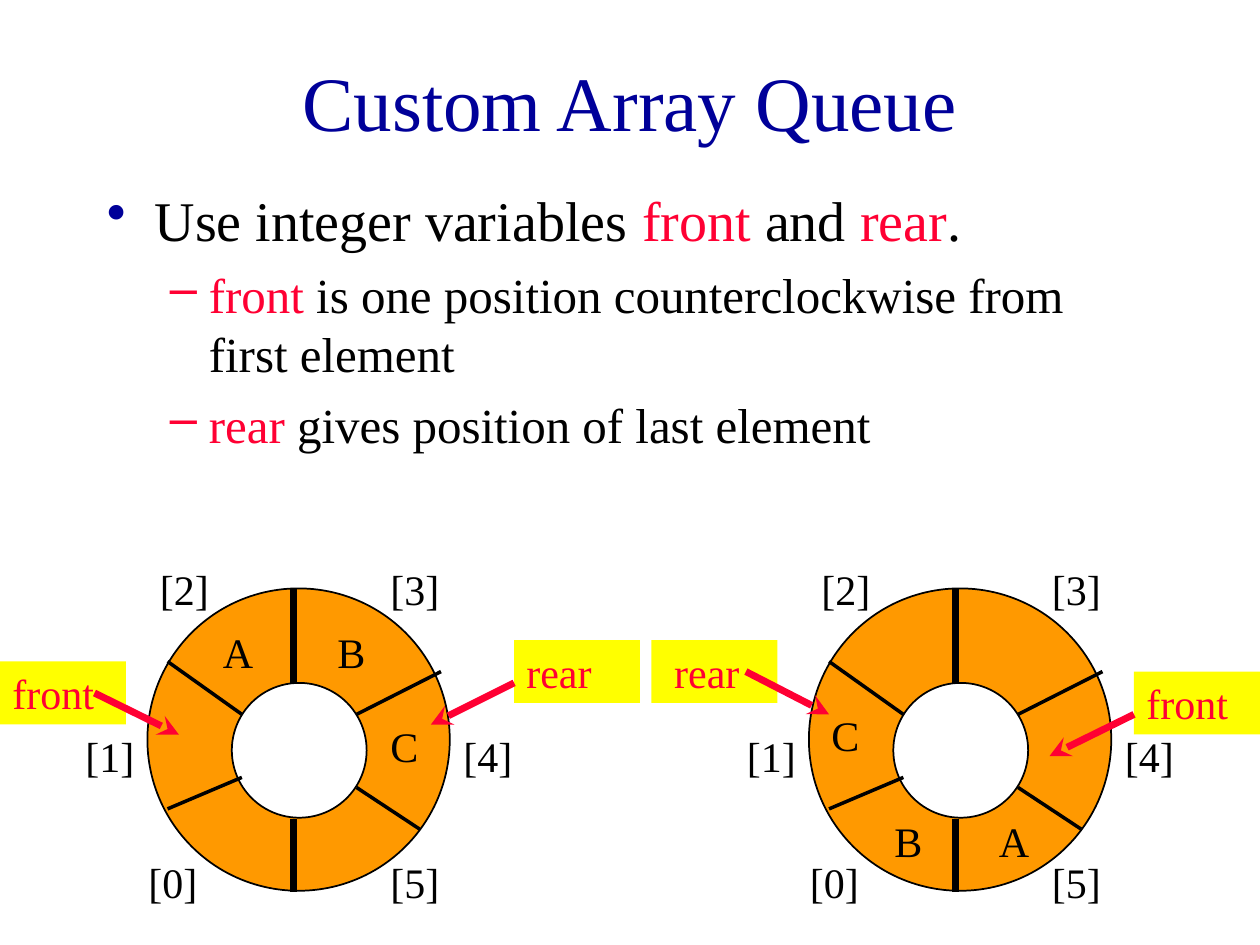
"""Build the Custom Array Queue slide with two ring diagrams."""
from lxml.etree import SubElement
from pptx import Presentation
from pptx.dml.color import RGBColor
from pptx.enum.shapes import MSO_CONNECTOR as CONNECTOR, MSO_SHAPE as SHAPE
from pptx.enum.text import MSO_ANCHOR as ANCHOR, PP_ALIGN as ALIGN
from pptx.oxml.ns import qn
from pptx.util import Inches, Pt

FONT = "Times New Roman"
BLACK, RED, NAVY = "000000", "FF0033", "000099"
ORANGE, YELLOW, WHITE = "FF9900", "FFFF00", "FFFFFF"
color = RGBColor.from_string


def add_label(shapes, text, left, top, width, ink=BLACK):
    box = shapes.add_textbox(Inches(left), Inches(top), Inches(width), Inches(0.5))
    box.text_frame.word_wrap = True
    paragraph = box.text_frame.paragraphs[0]
    paragraph.text = text
    paragraph.font.name = FONT
    paragraph.font.size = Pt(24)
    paragraph.font.color.rgb = color(ink)
    return box


def add_line(shapes, x1, y1, x2, y2, weight, ink=BLACK):
    line = shapes.add_connector(
        CONNECTOR.STRAIGHT, Inches(x1), Inches(y1), Inches(x2), Inches(y2))
    line.line.width = Pt(weight)
    line.line.color.rgb = color(ink)
    SubElement(line._element.spPr, qn("a:effectLst"))
    return line


presentation = Presentation()
presentation.slide_width = Inches(10)
presentation.slide_height = Inches(7.5)
slide = presentation.slides.add_slide(presentation.slide_layouts[6])

title = slide.shapes.add_textbox(Inches(0.75), Inches(0.17), Inches(8.5), Inches(1.25))
title.text_frame.word_wrap = True
title.text_frame.vertical_anchor = ANCHOR.MIDDLE
paragraph = title.text_frame.paragraphs[0]
paragraph.text = "Custom Array Queue"
paragraph.alignment = ALIGN.CENTER
paragraph.font.name = FONT
paragraph.font.size = Pt(44)
paragraph.font.color.rgb = color(NAVY)

bullets = [
    (0, 32, 0, 0.38, -0.38, "•", NAVY,
     [("Use integer variables ", BLACK), ("front ", RED), ("and ", BLACK),
      ("rear", RED), (".", BLACK)]),
    (1, 28, 7, 0.81, -0.31, "–", RED,
     [("front ", RED), ("is one position counterclockwise from first element", BLACK)]),
    (1, 28, 7, 0.81, -0.31, "–", RED,
     [("rear ", RED), ("gives position of last element", BLACK)]),
]
body = slide.shapes.add_textbox(Inches(0.75), Inches(1.42), Inches(8.5), Inches(2.92))
body.text_frame.word_wrap = True
for index, (level, size, space, margin, indent, mark, mark_color, runs) in enumerate(bullets):
    paragraph = body.text_frame.add_paragraph() if index else body.text_frame.paragraphs[0]
    paragraph.level = level
    properties = paragraph._p.get_or_add_pPr()
    properties.set("marL", str(Inches(margin)))
    properties.set("indent", str(Inches(indent)))
    bullet_color = SubElement(properties, qn("a:buClr"))
    SubElement(bullet_color, qn("a:srgbClr"), val=mark_color)
    SubElement(properties, qn("a:buChar"), char=mark)
    if space:
        paragraph.space_before = Pt(space)
    paragraph.font.name = FONT
    paragraph.font.size = Pt(size)
    for text, ink in runs:
        run = paragraph.add_run()
        run.text = text
        run.font.color.rgb = color(ink)

circles = [(0, 0, 2.4, ORANGE), (0.67, 0.75, 1.07, WHITE)]
dividers = [
    (1.16, 4.67, 1.16, 5.42, 4), (1.16, 6.5, 1.16, 7.08, 4),
    (0.16, 5.25, 0.75, 5.67, 2), (0.75, 6.17, 0.16, 6.42, 2),
    (1.66, 5.67, 2.33, 5.33, 2), (1.66, 6.25, 2.16, 6.58, 2),
]
index_places = [(-0.09, 6.75), (-0.59, 5.75), (0, 4.42), (1.83, 4.42), (2.41, 5.75), (1.83, 6.75)]
rings = [
    (1.17,
     [("A", 0.5, 4.92), ("B", 1.41, 4.92), ("C", 1.83, 5.67)],
     [("front", 0, 5.25, (0.75, 5.5, 1.42, 5.83)),
      ("rear", 4.08, 5.08, (4.08, 5.42, 3.42, 5.75))]),
    (6.42,
     [("A", 1.41, 6.42), ("B", 0.58, 6.42), ("C", 0.08, 5.58)],
     [("front", 9, 5.33, (9, 5.67, 8.33, 6)),
      (" rear", 5.17, 5.08, (5.92, 5.33, 6.58, 5.67))]),
]
for ring_left, elements, pointers in rings:
    ring = slide.shapes.add_group_shape().shapes
    for dx, dy, diameter, fill in circles:
        circle = ring.add_shape(
            SHAPE.OVAL, Inches(ring_left + dx), Inches(4.67 + dy),
            Inches(diameter), Inches(diameter))
        circle.shadow.inherit = False
        circle.fill.solid()
        circle.fill.fore_color.rgb = color(fill)
        circle.line.color.rgb = color(BLACK)
        circle.line.width = Pt(1)
    for x1, y1, x2, y2, weight in dividers:
        add_line(ring, ring_left + x1, y1, ring_left + x2, y2, weight)
    for position, (dx, top) in enumerate(index_places):
        add_label(ring, f"[{position}]", ring_left + dx, top, 0.92)
    for name, dx, top in elements:
        add_label(ring, name, ring_left + dx, top, 0.67)
    for name, left, top, ends in pointers:
        pointer = slide.shapes.add_group_shape().shapes
        tag = add_label(pointer, name, left, top, 1, RED)
        tag.fill.solid()
        tag.fill.fore_color.rgb = color(YELLOW)
        arrow = add_line(pointer, *ends, 4, RED)
        SubElement(arrow.line._get_or_add_ln(), qn("a:tailEnd"), type="stealth")

presentation.save("out.pptx")
